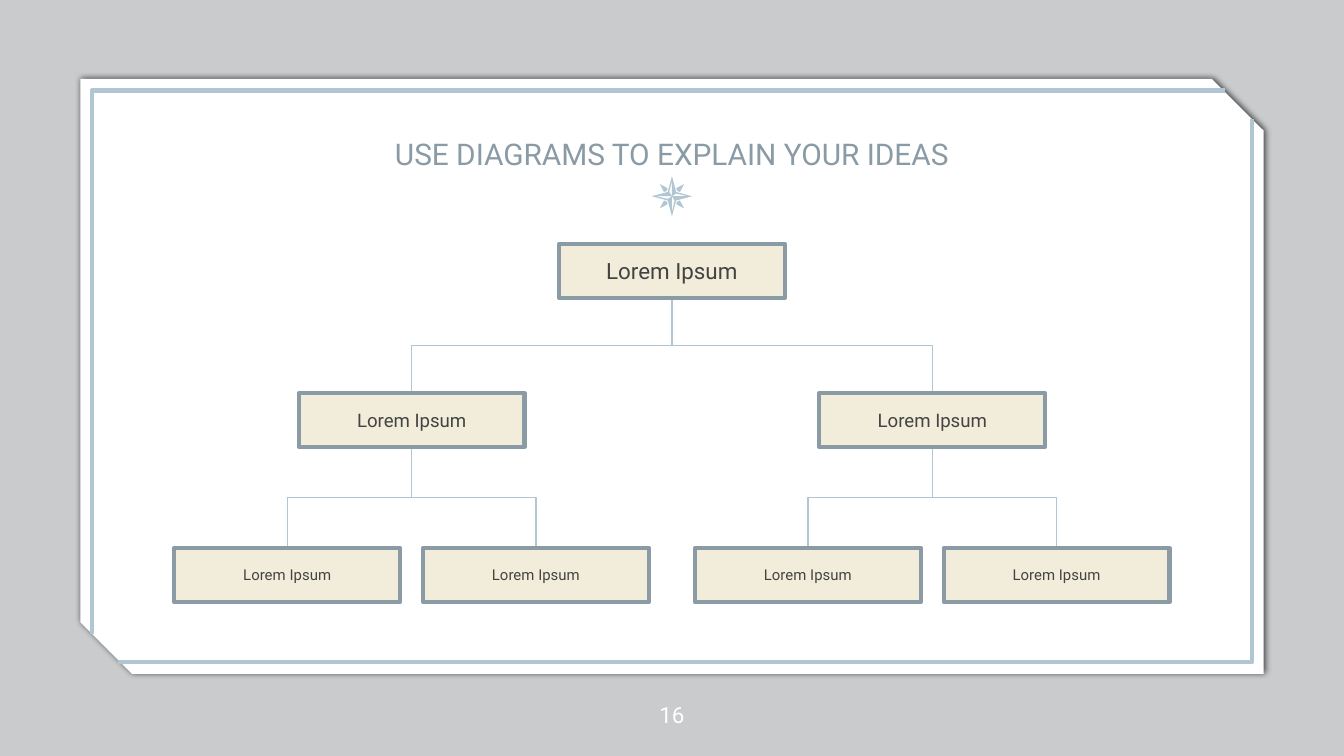
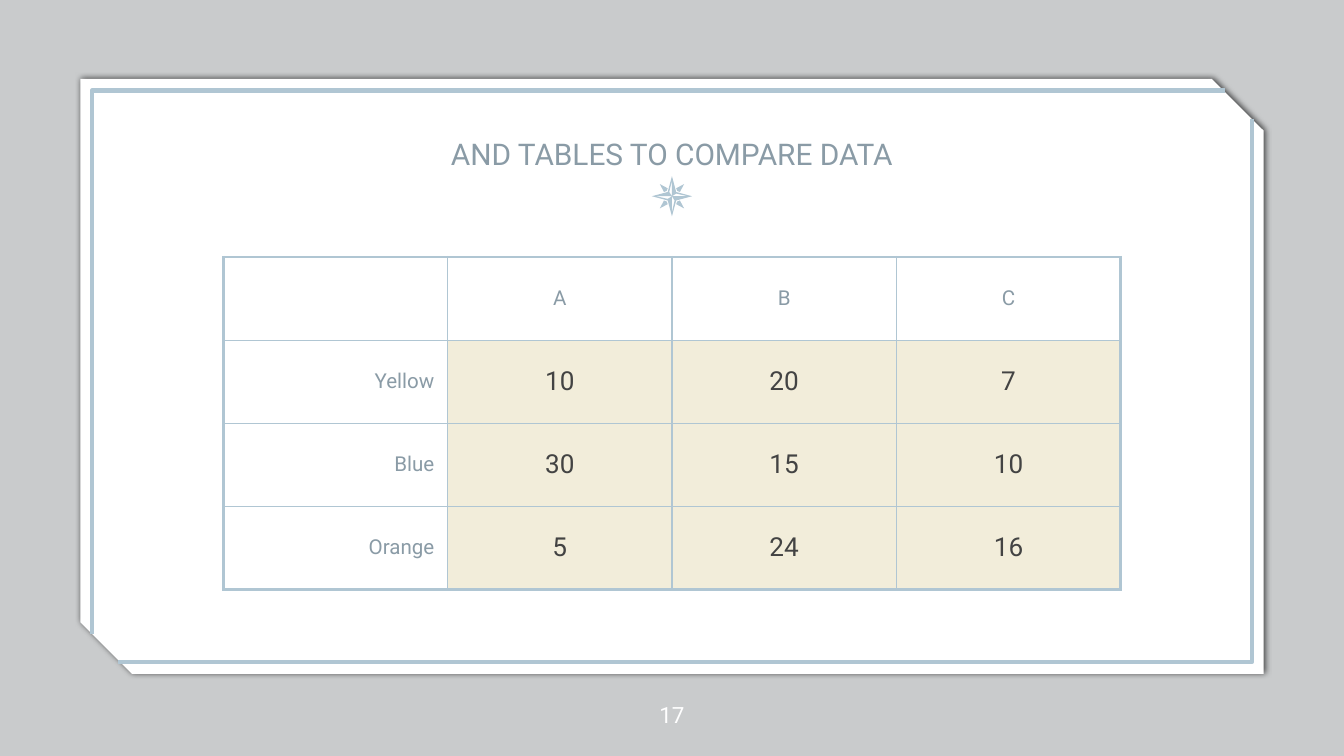
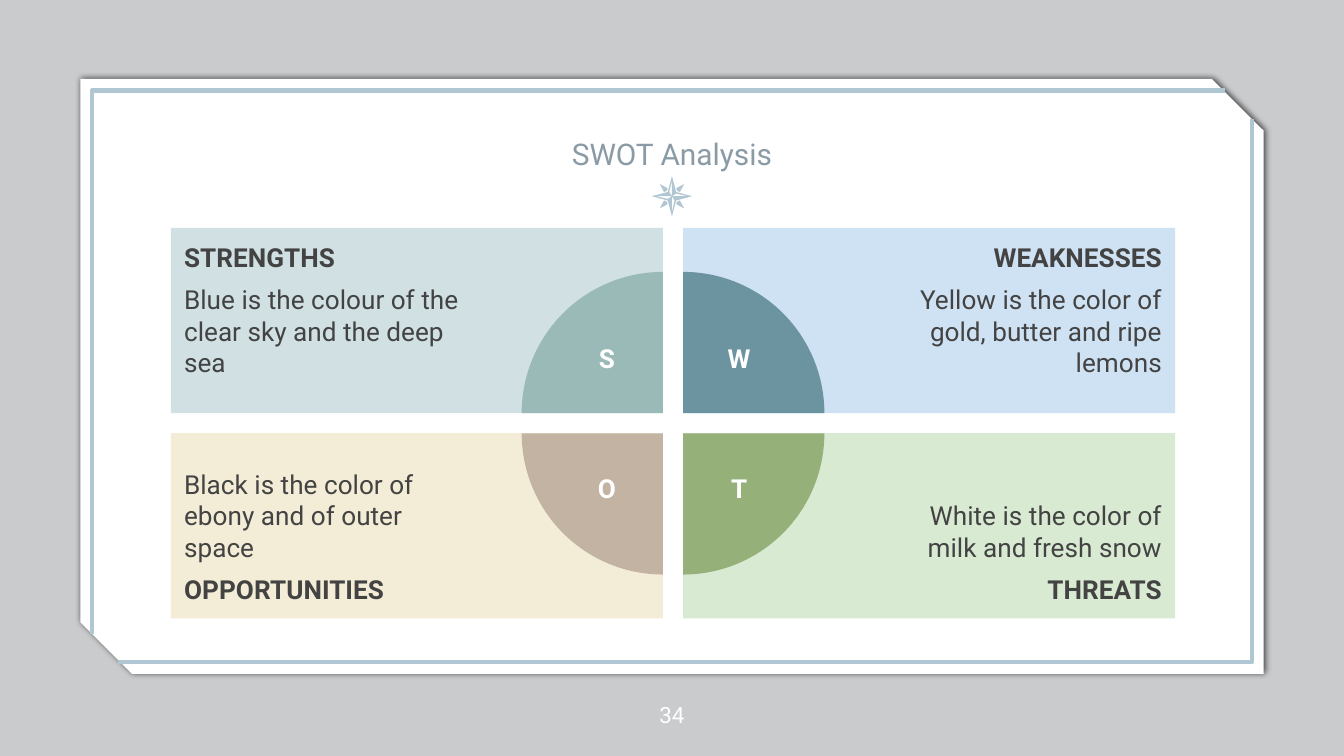
from lxml import etree
from pptx import Presentation
from pptx.dml.color import RGBColor
from pptx.enum.shapes import MSO_CONNECTOR, MSO_SHAPE
from pptx.enum.text import MSO_ANCHOR, PP_ALIGN
from pptx.oxml.ns import qn
from pptx.util import Cm, Pt

RECT, PIE = MSO_SHAPE.RECTANGLE, MSO_SHAPE.PIE
SNIPPED = MSO_SHAPE.SNIP_2_DIAG_RECTANGLE
ELBOW = MSO_CONNECTOR.ELBOW
LEFT, CENTER, RIGHT = PP_ALIGN.LEFT, PP_ALIGN.CENTER, PP_ALIGN.RIGHT
TOP, MIDDLE, BOTTOM = MSO_ANCHOR.TOP, MSO_ANCHOR.MIDDLE, MSO_ANCHOR.BOTTOM

FONT = "Roboto"
WHITE, SHADE, BLACK = "FFFFFF", "040E11", "000000"
SKY, SLATE, CREAM, INK = "B0C6D3", "8A9BA6", "F2EDDA", "434343"

PAGE_W, PAGE_H = 25.4, 14.29
CARD = (1.52, 1.49, 22.36, 11.25)  # left, top, width, height in cm


# ---------- helpers ----------
def rgb(color):
    return RGBColor.from_string(color)


def sub(parent, tag, **attrs):
    el = etree.SubElement(parent, qn(tag))
    for name, value in attrs.items():
        el.set(name, str(value))
    return el


def paint(shape, fill=None, line=None, width=2.25):
    shape.shadow.inherit = False
    if fill:
        shape.fill.solid()
        shape.fill.fore_color.rgb = rgb(fill)
    else:
        shape.fill.background()
    if line:
        shape.line.color.rgb = rgb(line)
        shape.line.width = Pt(width)
    else:
        shape.line.fill.background()
    return shape


def add_box(s, kind, x, y, w, h, **colors):
    return paint(s.shapes.add_shape(kind, Cm(x), Cm(y), Cm(w), Cm(h)), **colors)


def add_outline(shapes, contours, closed=True, **colors):
    """Freeform of one or more contours, each a list of (x, y) in cm."""
    builder = None
    for contour in contours:
        pts = [(Cm(x), Cm(y)) for x, y in contour]
        if builder is None:
            builder = shapes.build_freeform(*pts[0])
        else:
            builder.move_to(*pts[0])
        builder.add_line_segments(pts[1:], close=closed)
    return paint(builder.convert_to_shape(), **colors)


def write(tf, text, size=14, color=INK, bold=False, align=CENTER, before=0, after=0):
    """Fill the empty first paragraph, or add another one."""
    p = tf.paragraphs[0] if not tf.text else tf.add_paragraph()
    p.alignment = align
    p.space_before, p.space_after = Pt(before), Pt(after)
    r = p.add_run()
    r.text = text
    r.font.name, r.font.size, r.font.bold = FONT, Pt(size), bold
    r.font.color.rgb = rgb(color)


def frame(shape, anchor=MIDDLE, insets=(0, 0, 0, 0)):
    tf = shape.text_frame
    tf.word_wrap = True
    tf.vertical_anchor = anchor
    (tf.margin_left, tf.margin_top,
     tf.margin_right, tf.margin_bottom) = [Cm(i) for i in insets]
    return tf


def add_label(s, text, x, y, w, h, anchor=MIDDLE, **fmt):
    box = s.shapes.add_textbox(Cm(x), Cm(y), Cm(w), Cm(h))
    write(frame(box, anchor), text, **fmt)


# ---------- shared page parts ----------
def add_card(s, box):
    x, y, w, h = box
    card = add_box(s, SNIPPED, x, y, w, h, fill=WHITE)
    card.adjustments[0], card.adjustments[1] = 0, 0.087
    effects = card._element.spPr.find(qn("a:effectLst"))
    shadow = sub(effects, "a:outerShdw", blurRad=Pt(3.4), dist=Pt(0.8), dir=0,
                 algn="bl", rotWithShape=0)
    sub(sub(shadow, "a:srgbClr", val=BLACK), "a:alpha", val=68000)

    # Inner frame: two corners, open at the snipped ends
    inset, cut = 0.22, 0.7
    x1, y1, x2, y2 = x + inset, y + inset, x + w - inset, y + h - inset
    for corner in ([(x1, y2 - 0.54), (x1, y1), (x2 - 0.5, y1)],
                   [(x2, y1 + 0.54), (x2, y2), (x1 + 0.5, y2)]):
        add_outline(s.shapes, [corner], closed=False, line=SKY)


def quarter_turns(points, cx, cy):
    """The points around (cx, cy), turned by 0, 90, 180 and 270 degrees."""
    turns = []
    for _ in range(4):
        turns.append([(cx + x, cy + y) for x, y in points])
        points = [(-y, x) for x, y in points]
    return turns


def add_compass(s, cx, cy):
    shapes = s.shapes.add_group_shape().shapes
    spike = [(-0.23, -0.23), (-0.15, -0.08), (-0.1, -0.1), (-0.08, -0.15)]
    for contour in quarter_turns(spike, cx, cy):
        add_outline(shapes, [contour], fill=SKY)
    star = sum(quarter_turns([(0, -0.38), (0.08, -0.08)], cx, cy), [])
    holes = quarter_turns([(0, -0.3), (0, 0), (-0.05, -0.08)], cx, cy)
    add_outline(shapes, [star] + holes, fill=SKY)


def add_page(prs, title, number):
    s = prs.slides.add_slide(prs.slide_layouts[6])
    x, y, w, h = CARD
    shade = add_box(s, RECT, 0, 0, PAGE_W, PAGE_H, fill=SHADE)
    color = shade._element.spPr.find(qn("a:solidFill")).find(qn("a:srgbClr"))
    sub(color, "a:alpha", val=21000)
    add_card(s, CARD)
    add_compass(s, x + w / 2, y + 2.22)
    add_label(s, title, x + 1.27, y + 0.24, w - 2.54, 1.52, anchor=BOTTOM,
              size=16, color=SLATE)
    add_label(s, str(number), x + w / 2 - 0.76, y + h, 1.52, 1.52,
              size=12, color=WHITE)
    return s


# ---------- tree diagram ----------
NODE_W, NODE_H = 4.27, 1.02
# top within the card, text size, distance of the children to each side
LEVELS = [(3.12, 12, 4.92), (5.94, 10, 2.35), (8.87, 8, 0)]


def add_link(s, x1, y1, x2, y2):
    """Elbow that leaves downwards: a sideways one turned by 270 degrees."""
    cx, cy, dx, dy = (x1 + x2) / 2, (y1 + y2) / 2, x2 - x1, y2 - y1
    c = s.shapes.add_connector(ELBOW, Cm(cx + dy / 2), Cm(cy - dx / 2),
                               Cm(cx - dy / 2), Cm(cy + dx / 2))
    c.line.color.rgb = rgb(SKY)
    c.line.width = Pt(0.75)
    spPr = c._element.spPr
    spPr.find(qn("a:xfrm")).set("rot", str(270 * 60000))
    sub(spPr, "a:effectLst")


def add_tree(s, box, cx, level=0):
    top, size, spread = LEVELS[level]
    y = box[1] + top
    if spread:
        for child_x in (cx + spread, cx - spread):
            add_link(s, cx, y + NODE_H, child_x, box[1] + LEVELS[level + 1][0])
            add_tree(s, box, child_x, level + 1)
    node = add_box(s, RECT, cx - NODE_W / 2, y, NODE_W, NODE_H, fill=CREAM, line=SLATE)
    write(frame(node, insets=[0.25] * 4), "Lorem Ipsum", size=size)


# ---------- table ----------
ROWS = [["", "A", "B", "C"],
        ["Yellow", "10", "20", "7"],
        ["Blue", "30", "15", "10"],
        ["Orange", "5", "24", "16"]]


def add_borders(cell, outer):
    """Line on all four sides, thicker where the side is an outer edge."""
    tcPr = cell._tc.get_or_add_tcPr()
    for side in "LRTB":
        ln = sub(tcPr, "a:ln" + side, w=Pt(1.5 if side in outer else 0.75))
        sub(sub(ln, "a:solidFill"), "a:srgbClr", val=SKY)


def add_data_table(s, box):
    col_w, row_h = 4.24, 1.57
    n_rows, n_cols = len(ROWS), len(ROWS[0])
    x, y = box[0] + box[2] / 2 - n_cols * col_w / 2, box[1] + 3.37
    table = s.shapes.add_table(n_rows, n_cols, Cm(x), Cm(y), Cm(n_cols * col_w),
                               Cm(n_rows * row_h)).table
    table.first_row = table.horz_banding = False
    for i, row in enumerate(ROWS):
        for j, text in enumerate(row):
            cell = table.cell(i, j)
            cell.vertical_anchor = MIDDLE
            cell.margin_left = cell.margin_right = Cm(0.25)
            cell.margin_top = cell.margin_bottom = Cm(0.18)
            edges = {"L": j == 0, "R": j == n_cols - 1,
                     "T": i == 0, "B": i == n_rows - 1}
            add_borders(cell, [side for side in edges if edges[side]])
            if i and j:
                cell.fill.solid()
                cell.fill.fore_color.rgb = rgb(CREAM)
                write(cell.text_frame, text)
            else:
                cell.fill.background()
                if text:
                    write(cell.text_frame, text, size=11, color=SLATE,
                          align=CENTER if j else RIGHT)


# ---------- SWOT ----------
# heading, text, panel colour, quarter colour, column, row, turn of the quarter
SWOT = [
    ("STRENGTHS", "Blue is the colour of the clear sky and the deep sea",
     "D0E0E3", "99BAB6", 0, 0, 0),
    ("WEAKNESSES", "Yellow is the color of gold, butter and ripe lemons",
     "CFE2F3", "6B93A0", 1, 0, 90),
    ("OPPORTUNITIES", "Black is the color of ebony and of outer space",
     "F3EDD7", "C3B3A3", 0, 1, 270),
    ("THREATS", "White is the color of milk and fresh snow",
     "D9EAD3", "96B079", 1, 1, 180),
]


def add_swot(s, box):
    panel_w, panel_h, gap, radius = 9.3, 3.5, 0.38, 2.67
    mid_x, mid_y = box[0] + box[2] / 2 + 0.02, box[1] + 6.51

    # Panels with text kept clear of the quarters
    for heading, text, fill, _, col, row, _ in SWOT:
        x = mid_x + gap / 2 if col else mid_x - gap / 2 - panel_w
        y = mid_y + gap / 2 if row else mid_y - gap / 2 - panel_h
        panel = add_box(s, RECT, x, y, panel_w, panel_h, fill=fill)
        insets = (3.81, 0.25, 0.25, 0.25) if col else (0.25, 0.25, 3.81, 0.25)
        tf = frame(panel, BOTTOM if row else TOP, insets)
        align = RIGHT if col else LEFT
        lines = [(heading, True), (text, False)]
        first, last = reversed(lines) if row else lines
        write(tf, first[0], bold=first[1], align=align)
        write(tf, last[0], bold=last[1], align=align, before=6, after=6)

    # Quarters and initials around the inner panel corners
    for heading, _, _, fill, col, row, turn in SWOT:
        dir_x, dir_y = 2 * col - 1, 2 * row - 1
        x, y = mid_x + dir_x * gap / 2, mid_y + dir_y * gap / 2
        pie = add_box(s, PIE, x - radius, y - radius, 2 * radius, 2 * radius, fill=fill)
        pie.adjustments[0], pie.adjustments[1] = 108, 162
        pie.rotation = turn
        add_label(s, heading[0], x + dir_x * 1.06 - 0.45, y + dir_y * 1.04 - 0.45,
                  0.9, 0.9, color=WHITE, bold=True)


def main():
    prs = Presentation()
    prs.slide_width, prs.slide_height = Cm(PAGE_W), Cm(PAGE_H)
    s = add_page(prs, "USE DIAGRAMS TO EXPLAIN YOUR IDEAS", 16)
    add_tree(s, CARD, CARD[0] + CARD[2] / 2)
    add_data_table(add_page(prs, "AND TABLES TO COMPARE DATA", 17), CARD)
    add_swot(add_page(prs, "SWOT Analysis", 34), CARD)
    prs.save("out.pptx")


if __name__ == "__main__":
    main()
